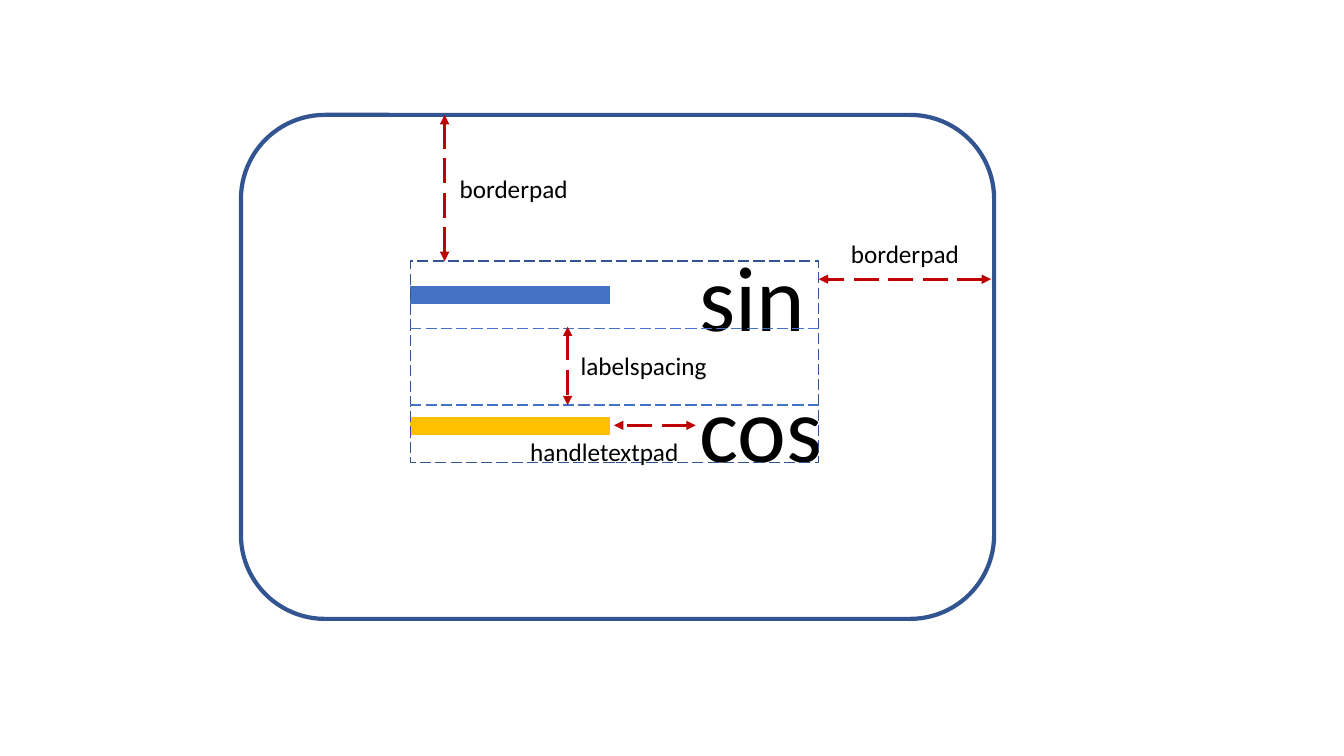
from lxml import etree
from pptx import Presentation
from pptx.dml.color import RGBColor
from pptx.enum.dml import MSO_LINE
from pptx.enum.shapes import MSO_CONNECTOR, MSO_SHAPE
from pptx.enum.text import MSO_AUTO_SIZE
from pptx.oxml.ns import qn
from pptx.util import Inches, Pt

STRAIGHT = MSO_CONNECTOR.STRAIGHT
RECTANGLE, ROUNDED = MSO_SHAPE.RECTANGLE, MSO_SHAPE.ROUNDED_RECTANGLE
LONG_DASH = MSO_LINE.LONG_DASH
GROW = MSO_AUTO_SIZE.SHAPE_TO_FIT_TEXT

BLUE = RGBColor(0x44, 0x72, 0xC4)
GOLD = RGBColor(0xFF, 0xC0, 0x00)
NAVY = RGBColor(0x32, 0x54, 0x91)
RED = RGBColor(0xC0, 0x00, 0x00)
BLACK = RGBColor(0, 0, 0)
FONT = "Calibri"

# Legend frame and the entry area inside it: left, top, width, height
FRAME = (2.39, 1.14, 7.47, 5)
ENTRIES = (4.07, 2.59, 4.05, 2)
LEFT, TOP = ENTRIES[:2]
RIGHT = LEFT + ENTRIES[2]
ROW_EDGES = (3.26, 4.02)
HANDLE_WIDTH = 1.98
NAME_LEFT, NAME_HEIGHT, NAME_RISE = 6.84, 1.21, 0.61
CAPTION_HEIGHT = 0.4

# Entry name, handle colour, handle height on the page, name width
HANDLES = [("sin", BLUE, 2.93, 1.7), ("cos", GOLD, 4.23, 1.8)]

# Caption, its left, top and width, then the start and end of its arrow
MEASURES = [
    ("borderpad", (4.46, 1.67, 1.29), (4.41, FRAME[1]), (4.41, TOP)),
    ("labelspacing", (5.66, 3.43, 1.47), (5.63, 3.24), (5.63, ROW_EDGES[1])),
    ("borderpad", (8.34, 2.32, 1.29), (9.83, 2.77), (RIGHT, 2.77)),
    ("handletextpad", (5.16, 4.28, 1.69), (6.9, 4.22), (6.09, 4.22)),
]


def style_line(line, color, width, dashed):
    """Set the colour, width and dash of a line."""
    line.color.rgb = color
    line.width = Pt(width)
    if dashed:
        line.dash_style = LONG_DASH


def add_line(page, start, end, color, width, dashed=True, arrows=False):
    """Draw a straight line, with arrowheads at both ends if asked."""
    points = [Inches(value) for value in (*start, *end)]
    connector = page.shapes.add_connector(STRAIGHT, *points)
    style_line(connector.line, color, width, dashed)
    if arrows:
        outline = connector.line._get_or_add_ln()
        for tag in ("a:headEnd", "a:tailEnd"):
            etree.SubElement(outline, qn(tag), type="triangle")
    etree.SubElement(connector._element.spPr, qn("a:effectLst"))


def add_outline(page, kind, place, width, dashed=False):
    """Draw an unfilled box."""
    box = page.shapes.add_shape(kind, *[Inches(value) for value in place])
    box.shadow.inherit = False
    box.fill.background()
    style_line(box.line, NAVY, width, dashed)


def add_label(page, text, place, size, wrap):
    """Write one line of black text."""
    box = page.shapes.add_textbox(*[Inches(value) for value in place])
    frame = box.text_frame
    frame.word_wrap = wrap
    frame.auto_size = GROW
    span = frame.paragraphs[0].add_run()
    span.text = text
    span.font.name = FONT
    span.font.size = Pt(size)
    span.font.color.rgb = BLACK


deck = Presentation()
deck.slide_width, deck.slide_height = Inches(13.33), Inches(7.5)
page = deck.slides.add_slide(deck.slide_layouts[6])

for name, color, y, width in HANDLES:
    add_line(page, (LEFT, y), (LEFT + HANDLE_WIDTH, y), color, 12.75, dashed=False)
    add_label(page, name, (NAME_LEFT, y - NAME_RISE, width, NAME_HEIGHT), 66, True)

add_outline(page, ROUNDED, FRAME, 3)
add_outline(page, RECTANGLE, ENTRIES, 1, dashed=True)
for y in ROW_EDGES:
    add_line(page, (LEFT, y), (RIGHT, y), BLUE, 1)

for caption, place, start, end in MEASURES:
    add_line(page, start, end, RED, 2.25, arrows=True)
    add_label(page, caption, (*place, CAPTION_HEIGHT), 18, False)

deck.save("out.pptx")
